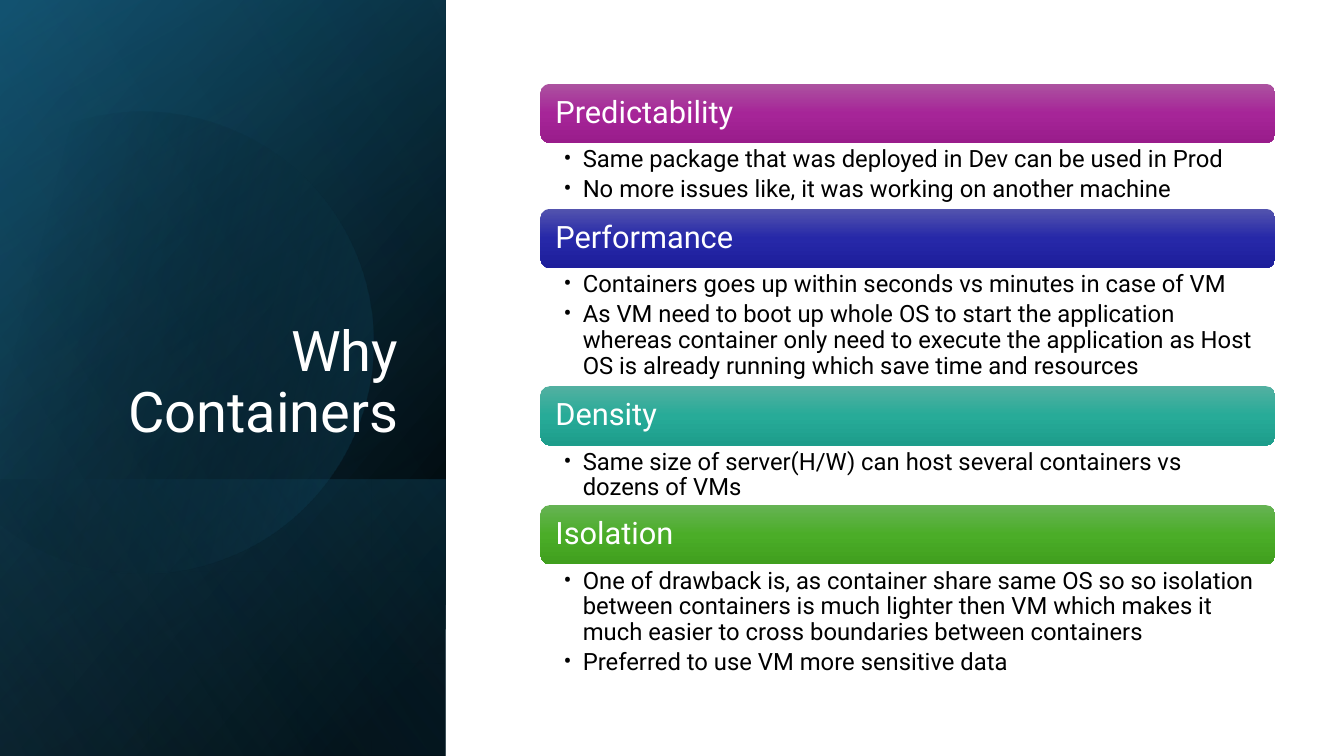
from math import cos, radians, sin, tan

from pptx import Presentation
from pptx.dml.color import RGBColor
from pptx.enum.shapes import MSO_SHAPE as SHAPE
from pptx.enum.text import MSO_ANCHOR as ANCHOR, PP_ALIGN as ALIGN
from pptx.oxml import parse_xml
from pptx.oxml.ns import nsdecls, qn
from pptx.util import Pt

# Content
TITLE = "Why Containers"
# heading, gradient colours, height of the bullet area, bullets
SECTIONS = [
    ("Predictability", ("AC53A0", "A62598", "991C8B"), 65, [
        "Same package that was deployed in Dev can be used in Prod",
        "No more issues like, it was working on another machine"]),
    ("Performance", ("5354AE", "2628A8", "1D1E9B"), 117, [
        "Containers goes up within seconds vs minutes in case of VM",
        "As VM need to boot up whole OS to start the application whereas "
        "container only need to execute the application as Host OS is already "
        "running which save time and resources"]),
    ("Density", ("53B0A1", "27AB98", "1D9D8B"), 59, [
        "Same size of server(H/W) can host several containers vs dozens of VMs"]),
    ("Isolation", ("66B354", "4BAD28", "409F1E"), 117, [
        "One of drawback is, as container share same OS so so isolation between "
        "containers is much lighter then VM which makes it much easier to cross "
        "boundaries between containers",
        "Preferred to use VM more sensitive data"]),
]

# Side panel layers: top, height, gradient angle, stops (position, colour, opacity)
PANEL_W = 442
LAYERS = [
    (0, 750, 50, [(8, "000000", 100), (100, "104862", 100)]),
    (0, 750, 30, [(0, "000000", 0), (99, "156082", 46)]),
    (476, 274, 130, [(2, "156082", 29), (100, "000000", 30)]),
]
GLOW = (0, 750, 120, [(0, "000000", 0), (99, "46B1E1", 11)])

# Disc with one side cut off, open between its last and first angle
DISC_X, DISC_Y, DISC_R, DISC_TURN = 141, 335, 229, 343.9
DISC_ANGLES = (-117, -90, 0, 90, 149)
DISC_STOPS = [(29, "000000", 0), (100, "156082", 43)]

LIST_X, LIST_Y, LIST_W, BAR_H = 536, 83, 729, 59
BULLET_INDENT = 19
FONT = "Roboto"
EMU_PER_PX = 9144


def px(n):
    return round(n * EMU_PER_PX)


def rgb(color):
    return RGBColor.from_string(color)


def paint(sp, angle, stops):
    """Give a shape a gradient with opacity, and no line or shadow."""
    gs = "".join(
        f'<a:gs pos="{pos * 1000}"><a:srgbClr val="{color}">'
        f'<a:alpha val="{alpha * 1000}"/></a:srgbClr></a:gs>'
        for pos, color, alpha in stops)
    sp.shadow.inherit = False
    sp.line.fill.background()
    sp.fill.background()
    props = sp._element.spPr
    props.replace(props.find(qn("a:noFill")), parse_xml(
        f'<a:gradFill {nsdecls("a")} rotWithShape="1"><a:gsLst>{gs}</a:gsLst>'
        f'<a:lin ang="{angle * 60000}" scaled="0"/></a:gradFill>'))


def write(sp, lines, size, color="FFFFFF", align=ALIGN.LEFT, anchor=ANCHOR.TOP,
          insets=(10, 5, 10, 5), after=0, bullet=False):
    tf = sp.text_frame
    tf.word_wrap = True
    tf.vertical_anchor = anchor
    tf.margin_left, tf.margin_top, tf.margin_right, tf.margin_bottom = map(px, insets)
    for i, text in enumerate(lines):
        p = tf.add_paragraph() if i else tf.paragraphs[0]
        p.alignment = align
        p.line_spacing = 0.9
        p.space_before, p.space_after = Pt(0), Pt(after)
        r = p.add_run()
        r.text = text
        r.font.name, r.font.size = FONT, Pt(size)
        r.font.color.rgb = rgb(color)
        if bullet:
            p.level = 1
            pPr = p._p.get_or_add_pPr()
            pPr.set("marL", str(px(BULLET_INDENT)))
            pPr.set("indent", str(-px(BULLET_INDENT)))
            pPr.append(parse_xml(f'<a:buFont {nsdecls("a")} typeface="{FONT}"/>'))
            pPr.append(parse_xml(f'<a:buChar {nsdecls("a")} char="•"/>'))


def add_layer(shapes, top, height, angle, stops):
    """Add a mirrored rectangle on its side, so its frame has swapped sides."""
    left = (PANEL_W - height) / 2
    sp = shapes.add_shape(SHAPE.RECTANGLE, px(left), px(top - left),
                          px(height), px(PANEL_W))
    sp.rotation = 90
    sp._element.spPr.xfrm.set("flipH", "1")
    paint(sp, angle, stops)


def disc_point(angle, bend=0):
    """A point on the rim, or moved along the tangent by bend radii."""
    c, s = cos(radians(angle)), sin(radians(angle))
    return (px(DISC_X + DISC_R * (c - bend * s)),
            px(DISC_Y + DISC_R * (s + bend * c)))


def add_disc(shapes):
    """Add the cut disc: straight sides first, then each bent into an arc."""
    rim = [disc_point(a) for a in DISC_ANGLES]
    outline = shapes.build_freeform(*rim[0])
    outline.add_line_segments(rim[1:], close=True)
    sp = outline.convert_to_shape()
    sides = list(sp._element.iter(qn("a:lnTo")))
    for side, a, b in zip(sides, DISC_ANGLES, DISC_ANGLES[1:]):
        bend = 4 / 3 * tan(radians(b - a) / 4)
        curve = (disc_point(a, bend), disc_point(b, -bend), disc_point(b))
        pts = "".join(f'<a:pt x="{x - sp.left}" y="{y - sp.top}"/>' for x, y in curve)
        side.getparent().replace(side, parse_xml(
            f'<a:cubicBezTo {nsdecls("a")}>{pts}</a:cubicBezTo>'))
    sp.rotation = DISC_TURN
    paint(sp, 30, DISC_STOPS)


def main():
    prs = Presentation()
    prs.slide_width, prs.slide_height = px(1333), px(750)
    s = prs.slides.add_slide(prs.slide_layouts[5])
    shapes = s.shapes

    # Side panel
    for layer in LAYERS:
        add_layer(shapes, *layer)
    add_disc(shapes)
    add_layer(shapes, *GLOW)

    # Title, brought in front of the panel
    title = shapes.title
    title.left, title.top, title.width, title.height = map(px, (64, 184, 341, 262))
    write(title, [TITLE], 40, align=ALIGN.RIGHT, anchor=ANCHOR.BOTTOM)
    shapes._spTree.append(title._element)

    # Heading bars with their bullets
    y = LIST_Y
    for heading, colors, body_h, bullets in SECTIONS:
        bar = shapes.add_shape(SHAPE.ROUNDED_RECTANGLE, px(LIST_X), px(y),
                               px(LIST_W), px(BAR_H))
        paint(bar, 90, [(50 * i, c, 100) for i, c in enumerate(colors)])
        write(bar, [heading], 22, anchor=ANCHOR.MIDDLE, insets=(12, 9, 12, 9))
        y += BAR_H
        body = shapes.add_textbox(px(LIST_X), px(y), px(LIST_W), px(body_h))
        write(body, bullets, 17, color="000000", insets=(23, 4, 17, 3),
              after=3, bullet=True)
        y += body_h

    prs.save("out.pptx")


if __name__ == "__main__":
    main()
